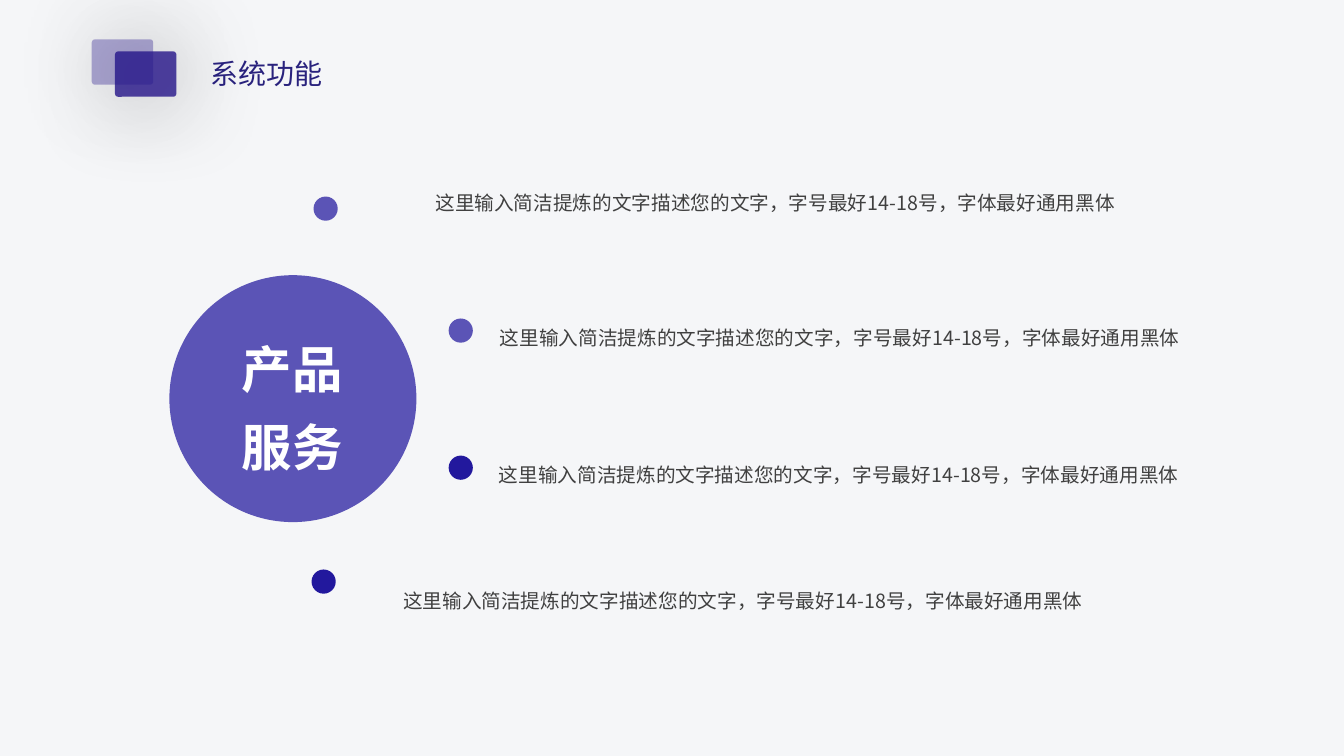
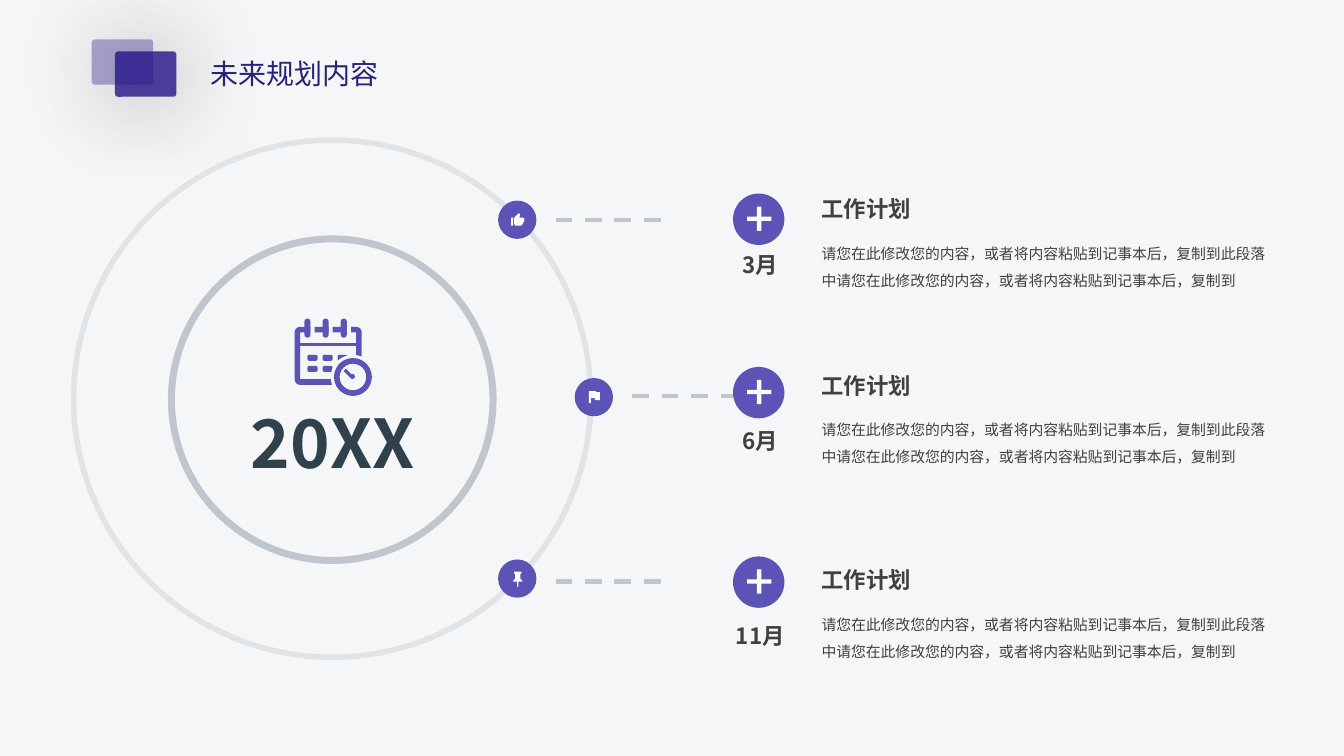
from lxml import etree
from pptx import Presentation
from pptx.dml.color import RGBColor
from pptx.enum.dml import MSO_LINE
from pptx.enum.shapes import MSO_CONNECTOR, MSO_SHAPE
from pptx.enum.text import MSO_AUTO_SIZE, PP_ALIGN
from pptx.oxml.ns import qn
from pptx.util import Emu, Pt

PX = 9144  # 100 px to the inch
FONT = "Noto Sans CJK SC"
OVAL, ROUND, RECT, PLUS = (MSO_SHAPE.OVAL, MSO_SHAPE.ROUNDED_RECTANGLE,
                           MSO_SHAPE.RECTANGLE, MSO_SHAPE.CROSS)
LEFT, CENTER = PP_ALIGN.LEFT, PP_ALIGN.CENTER
STRAIGHT = MSO_CONNECTOR.STRAIGHT
DASH = MSO_LINE.DASH
FIT = MSO_AUTO_SIZE.SHAPE_TO_FIT_TEXT

COLORS = {
    "back": "F5F6F8", "badge": "26158C", "title": "29227D",
    "violet": "5B54B6", "navy": "22189D", "text": "404040",
    "year": "2F414B", "inner": "C0C6CD", "outer": "E0E4E6",
    "white": "FFFFFF", "black": "000000",
}

POINT_TEXT = "这里输入简洁提炼的文字描述您的文字，字号最好14-18号，字体最好通用黑体"
PLAN_TEXT = ("请您在此修改您的内容，或者将内容粘贴到记事本后，复制到此段落"
             "中请您在此修改您的内容，或者将内容粘贴到记事本后，复制到")

# Dot position, dot colour, text position
POINTS = [
    (311, 195, "violet", 422, 177),
    (445, 316, "violet", 486, 311),
    (445, 452, "navy", 485, 447),
    (309, 565, "navy", 390, 572),
]

# Icon outlines, measured from the corner of their node
THUMB = [
    [(13, 25), (15, 25), (15, 17), (13, 17)],
    [(26, 18), (25, 17), (21, 17), (22, 14), (21, 13), (21, 12), (17, 16),
     (16, 17), (16, 23), (17, 25), (23, 25), (24, 24), (26, 20)],
]
FLAG = [[(21, 14), (21, 13), (14, 13), (14, 25), (16, 25), (16, 20),
         (20, 20), (20, 22), (25, 22), (25, 14)]]
PIN = [[(22, 19), (22, 14), (23, 14), (23, 12), (16, 12), (16, 14), (17, 14),
        (17, 19), (15, 21), (15, 22), (19, 22), (19, 27), (20, 27), (20, 22),
        (24, 22), (24, 21)]]

# Month, node position, icon, dash y, plus y, heading y
PLANS = [
    ("3月", 494, 199, THUMB, 218, 192, 189),
    ("6月", 570, 375, FLAG, 393, 364, 364),
    ("11月", 494, 555, PIN, 577, 552, 557),
]


def px(n):
    return Emu(n * PX)


def rgb(name):
    return RGBColor.from_string(COLORS[name])


def add_alpha(color, percent):
    etree.SubElement(color, qn("a:alpha"), val=str(percent * 1000))


def paint(sp, fill=None, line=None, width=0):
    sp.shadow.inherit = False
    if fill:
        sp.fill.solid()
        sp.fill.fore_color.rgb = rgb(fill)
    else:
        sp.fill.background()
    if line:
        sp.line.color.rgb = rgb(line)
        sp.line.width = Pt(width)
    else:
        sp.line.fill.background()
    return sp


def add_shape(s, kind, x, y, w, h, fill=None, line=None, width=0, adj=None):
    sp = s.shapes.add_shape(kind, px(x), px(y), px(w), px(h))
    if adj is not None:
        sp.adjustments[0] = adj
    return paint(sp, fill, line, width)


def add_line(s, x1, y1, x2, y2, color, width, dash=None):
    ln = s.shapes.add_connector(STRAIGHT, px(x1), px(y1), px(x2), px(y2))
    ln.line.color.rgb = rgb(color)
    ln.line.width = Pt(width)
    if dash:
        ln.line.dash_style = dash
    etree.SubElement(ln._element.spPr, qn("a:effectLst"))


def add_outline(s, x, y, contours, fill):
    """Draw closed contours, given relative to (x, y), as one shape."""
    builder = None
    for contour in contours:
        points = [(x + dx, y + dy) for dx, dy in contour]
        if builder is None:
            builder = s.shapes.build_freeform(*points[0], scale=PX)
        else:
            builder.move_to(*points[0])
        builder.add_line_segments(points[1:], close=True)
    paint(builder.convert_to_shape(), fill)


def add_text(s, x, y, w, h, lines, size, color, bold=False, align=LEFT,
             spacing=None, wrap=True):
    tf = s.shapes.add_textbox(px(x), px(y), px(w), px(h)).text_frame
    tf.word_wrap = wrap
    tf.auto_size = FIT
    for i, line in enumerate(lines):
        p = tf.paragraphs[0] if i == 0 else tf.add_paragraph()
        p.alignment = align
        if spacing:
            p.line_spacing = spacing
        r = p.add_run()
        r.text = line
        r.font.name = FONT
        r.font.size = Pt(size)
        r.font.bold = bold
        r.font.color.rgb = rgb(color)
        etree.SubElement(r._r.get_or_add_rPr(), qn("a:ea"), typeface=FONT)


def add_badge(s, x, y, opacity):
    """Translucent title card with a wide soft shadow."""
    sp = add_shape(s, ROUND, x, y, 61, 45, "badge", adj=0.07)
    spPr = sp._element.spPr
    add_alpha(spPr.find(qn("a:solidFill")).find(qn("a:srgbClr")), opacity)
    shadow = etree.SubElement(
        spPr.find(qn("a:effectLst")), qn("a:outerShdw"), blurRad=str(Pt(70)),
        dist=str(Pt(3)), dir=str(45 * 60000), algn="ctr", rotWithShape="0")
    add_alpha(etree.SubElement(shadow, qn("a:srgbClr"), val=COLORS["black"]), 40)


def add_slide(prs, title):
    s = prs.slides.add_slide(prs.slide_layouts[6])
    s.background.fill.solid()
    s.background.fill.fore_color.rgb = rgb("back")
    add_badge(s, 114, 51, 80)
    add_text(s, 199, 51, 315, 44, [title], 20, "title")
    add_badge(s, 91, 39, 35)
    return s


def add_calendar(s):
    add_shape(s, ROUND, 295, 327, 61, 52, line="violet", width=4, adj=0.05)
    add_line(s, 295, 342, 356, 342, "violet", 2.2)
    for x in range(302, 339, 18):
        add_shape(s, RECT, x + 6, 322, 4, 10, "back")
        add_shape(s, ROUND, x, 316, 6, 19, "violet", adj=0.5)
    for x, y in [(305, 352), (320, 352), (335, 352), (305, 363), (320, 363)]:
        add_shape(s, ROUND, x, y, 10, 6, "violet", adj=0.3)
    add_shape(s, OVAL, 328, 352, 44, 44, "back")
    add_shape(s, OVAL, 334, 358, 32, 32, line="violet", width=4)
    add_line(s, 342, 367, 349, 374, "violet", 2.2)
    add_shape(s, OVAL, 347, 371, 5, 5, "violet")


def add_plan(s, month, node_x, node_y, icon, dash_y, plus_y, text_y):
    add_shape(s, OVAL, node_x, node_y, 38, 38, "violet")
    add_outline(s, node_x, node_y, icon, "white")
    add_line(s, node_x + 57, dash_y, node_x + 162, dash_y, "inner", 3, DASH)
    add_shape(s, OVAL, 727, plus_y, 51, 51, "violet")
    add_shape(s, PLUS, 741, plus_y + 13, 24, 24, "white", adj=0.41)
    add_text(s, 708, text_y + 55, 92, 37, [month], 16, "text", True, CENTER)
    add_text(s, 805, text_y, 277, 37, ["工作计划"], 16, "text", True)
    add_text(s, 805, text_y + 40, 464, 63, [PLAN_TEXT], 10.6, "text",
             spacing=1.5)


def build_features(prs):
    s = add_slide(prs, "系统功能")
    for dot_x, dot_y, color, text_x, text_y in POINTS:
        add_shape(s, OVAL, dot_x, dot_y, 24, 24, color)
        add_text(s, text_x, text_y, 761, 39, [POINT_TEXT], 14, "text",
                 spacing=1.3)
    add_shape(s, OVAL, 168, 273, 245, 245, "violet")
    add_text(s, 230, 312, 120, 168, ["产品", "服务"], 36, "white", True, CENTER,
             spacing=1.3, wrap=False)


def build_roadmap(prs):
    s = add_slide(prs, "未来规划内容")
    add_shape(s, OVAL, 170, 237, 319, 319, line="inner", width=5)
    add_shape(s, OVAL, 73, 139, 513, 513, line="outer", width=4)
    for plan in PLANS:
        add_plan(s, *plan)
    add_text(s, 209, 393, 242, 91, ["20XX"], 48, "year", True, CENTER)
    add_calendar(s)


def main():
    prs = Presentation()
    prs.slide_width, prs.slide_height = px(1333), px(750)
    build_features(prs)
    build_roadmap(prs)
    prs.save("out.pptx")


if __name__ == "__main__":
    main()
